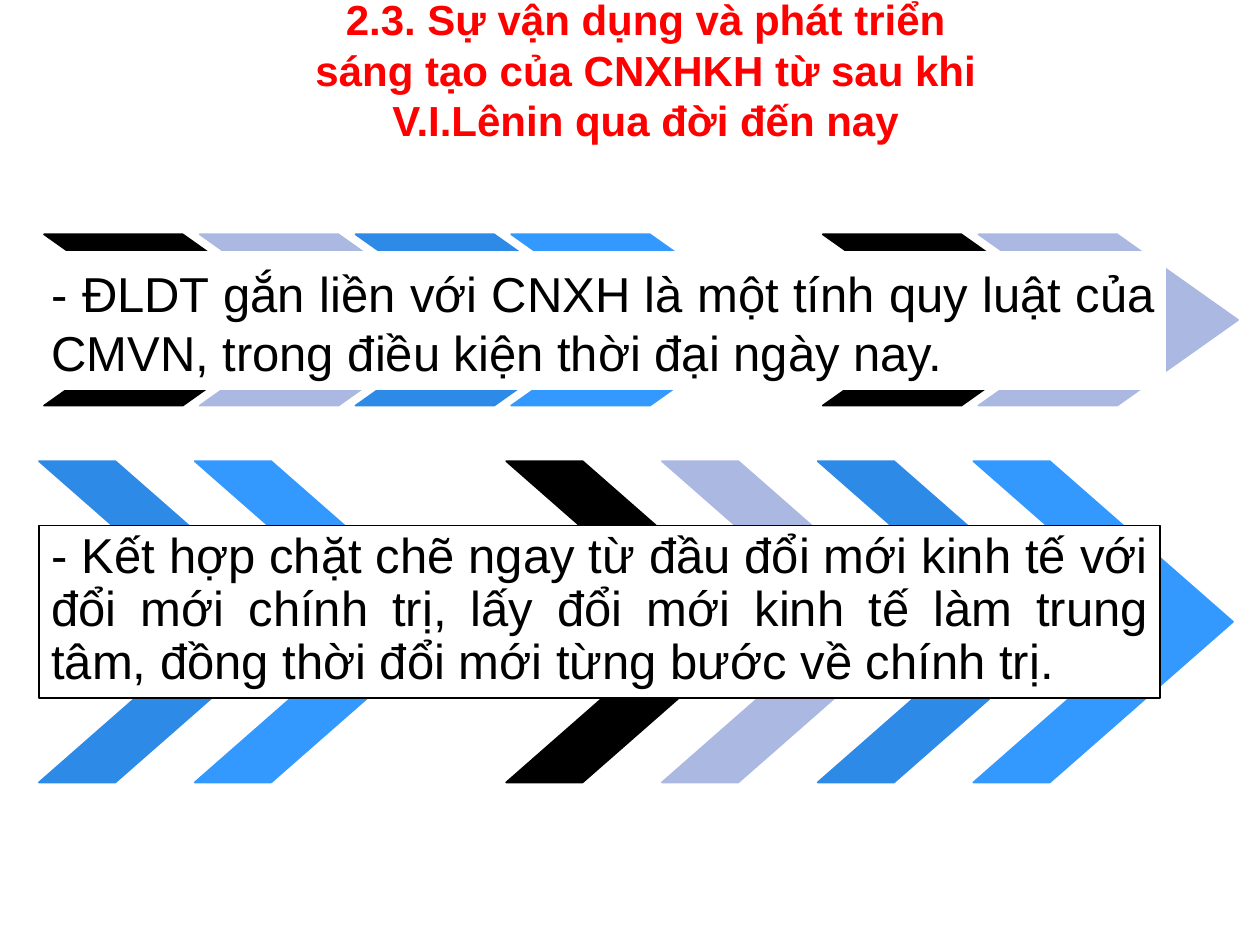
from dataclasses import dataclass
from itertools import cycle, islice

from pptx import Presentation
from pptx.dml.color import RGBColor as Rgb
from pptx.enum.shapes import MSO_SHAPE as Preset
from pptx.enum.text import MSO_ANCHOR as Anchor, MSO_AUTO_SIZE as AutoSize, PP_ALIGN as Align
from pptx.util import Inches, Pt


@dataclass(frozen=True)
class Theme:
    font: str = "Arial"
    title_size: int = 24
    body_size: int = 28
    title: str = "FF0000"
    ink: str = "000000"
    paper: str = "FFFFFF"
    chevrons: tuple = ("000000", "AAB8E2", "2D8AE7", "3399FF", "FFFFFF")


THEME = Theme()
CHEVRON_COUNT = 7
CHEVRON_STEP = 1.236
CHEVRON_WIDTH = 2.06
CHEVRON_POINT = 0.706
PANEL_WIDTH = 8.9

TITLE = "2.3. Sự vận dụng và phát triển sáng tạo của CNXHKH từ sau khi V.I.Lênin qua đời đến nay"
INDEPENDENCE = "- ĐLDT gắn liền với CNXH là một tính quy luật của CMVN, trong điều kiện thời đại ngày nay."
RENEWAL = ("- Kết hợp chặt chẽ ngay từ đầu đổi mới kinh tế với đổi mới chính trị, "
           "lấy đổi mới kinh tế làm trung tâm, đồng thời đổi mới từng bước về chính trị.")


def add_block(shapes, preset, box, fill, outline):
    block = shapes.add_shape(preset, *map(Inches, box))
    block.shadow.inherit = False
    block.fill.solid()
    block.fill.fore_color.rgb = Rgb.from_string(fill)
    block.line.color.rgb = Rgb.from_string(outline)
    block.line.width = Pt(1)
    return block


def add_text(shapes, box, wording, size, color, align, bold=False, spacing=None, grow=True):
    frame = shapes.add_textbox(*map(Inches, box)).text_frame
    frame.word_wrap = True
    frame.auto_size = AutoSize.SHAPE_TO_FIT_TEXT if grow else AutoSize.NONE
    frame.vertical_anchor = Anchor.TOP
    frame.text = wording
    paragraph = frame.paragraphs[0]
    paragraph.alignment = align
    paragraph.line_spacing = spacing
    font = paragraph.runs[0].font
    font.name = THEME.font
    font.size = Pt(size)
    font.bold = bold
    font.color.rgb = Rgb.from_string(color)


def add_banner(slide, left, top, height, first_color, panel, outline, text_box, wording, spacing=None):
    shapes = slide.shapes.add_group_shape().shapes
    colors = islice(cycle(THEME.chevrons), first_color, first_color + CHEVRON_COUNT)
    for column, color in enumerate(colors):
        box = (left + column * CHEVRON_STEP, top, CHEVRON_WIDTH, height)
        chevron = add_block(shapes, Preset.CHEVRON, box, color, color)
        chevron.adjustments[0] = CHEVRON_POINT
    add_block(shapes, Preset.RECTANGLE, panel, THEME.paper, outline)
    add_text(shapes, text_box, wording, THEME.body_size, THEME.ink, Align.JUSTIFY, spacing=spacing)


def main():
    deck = Presentation()
    deck.slide_width, deck.slide_height = Inches(10), Inches(7.5)
    slide = deck.slides.add_slide(deck.slide_layouts[6])

    add_banner(slide, left=0.35, top=1.86, height=1.36, first_color=0,
               panel=(0.35, 2, PANEL_WIDTH, 1.09), outline=THEME.paper,
               text_box=(0.31, 2.04, 8.95, 1.04), wording=INDEPENDENCE)
    renewal_panel = (0.31, 4.17, PANEL_WIDTH, 1.37)
    add_banner(slide, left=0.31, top=3.66, height=2.55, first_color=2,
               panel=renewal_panel, outline=THEME.ink,
               text_box=renewal_panel, wording=RENEWAL, spacing=0.9)
    add_text(slide.shapes, (2.22, -0.1, 5.81, 1.22), TITLE, THEME.title_size,
             THEME.title, Align.CENTER, bold=True, grow=False)

    deck.save("out.pptx")


if __name__ == "__main__":
    main()
